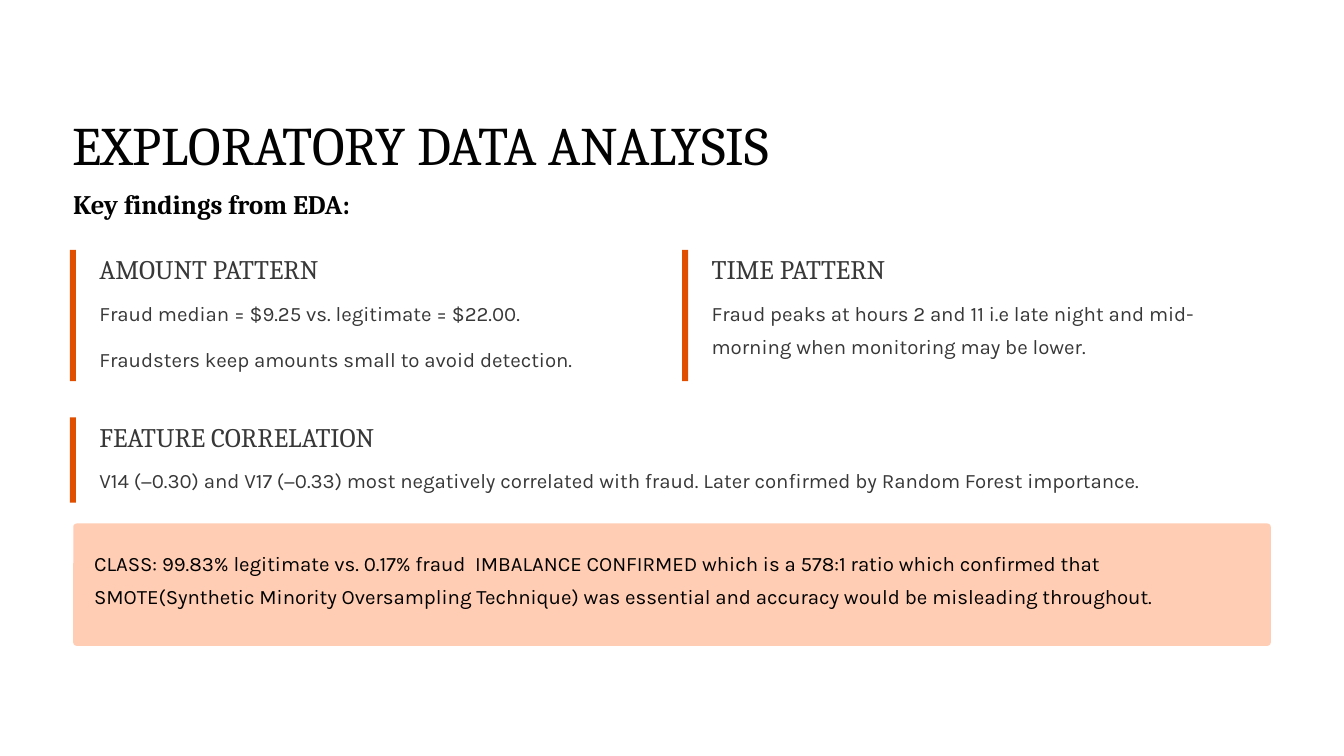
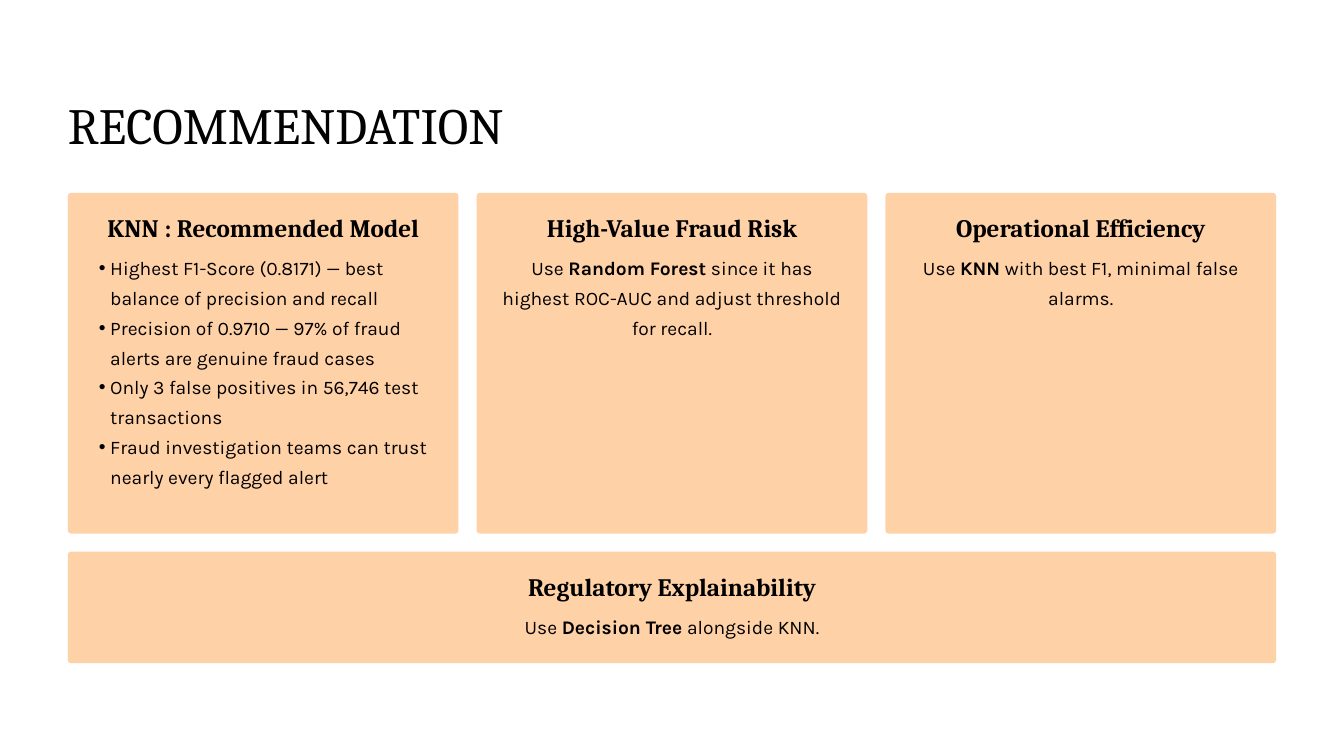
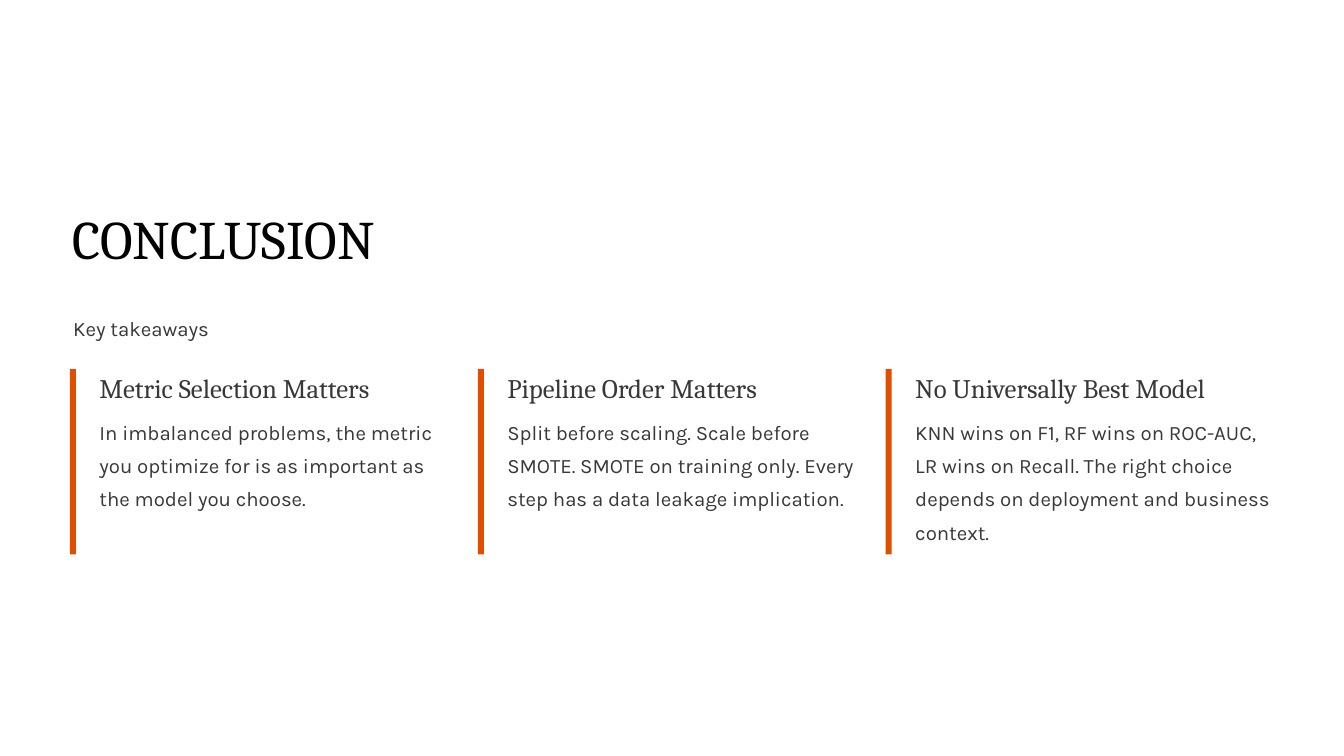
from dataclasses import dataclass
from typing import NamedTuple

import lxml.etree
import pptx
import pptx.dml.color
import pptx.enum.shapes
import pptx.enum.text
import pptx.oxml.ns
import pptx.util
from pptx.util import Inches

ALIGN = pptx.enum.text.PP_ALIGN
SHAPE = pptx.enum.shapes.MSO_SHAPE
TITLE_AND_CONTENT, TITLE_ONLY = 1, 5


@dataclass(frozen=True)
class TextStyle:
    font: str
    size: float
    line: float
    color: str
    bold: bool = False
    align: ALIGN = ALIGN.LEFT
    paragraph_gap: float = 0


@dataclass(frozen=True)
class Theme:
    page: str = "FFFFFF"
    accent: str = "E04F00"
    callout: str = "FFCDB3"
    card: str = "FFD1A7"
    title: TextStyle = TextStyle("Cambria", 58.1, 73.1, "020202")
    small_title: TextStyle = TextStyle("Cambria", 54.4, 68.1, "020202")
    subtitle: TextStyle = TextStyle("Cambria", 28.7, 36.2, "020202", bold=True)
    heading: TextStyle = TextStyle("Cambria", 28.7, 36.2, "383838")
    body: TextStyle = TextStyle("Karla", 21.84, 35.6, "383838", paragraph_gap=13.4)
    callout_body: TextStyle = TextStyle("Karla", 21.84, 35.6, "000000")
    card_heading: TextStyle = TextStyle("Cambria", 26.9, 33.7, "000000", True, ALIGN.CENTER)
    card_body: TextStyle = TextStyle("Karla", 20.6, 31.9, "000000", align=ALIGN.CENTER)
    card_list: TextStyle = TextStyle("Karla", 20.6, 31.9, "000000")


THEME = Theme()


class Box(NamedTuple):
    """Position and size in inches."""
    left: float
    top: float
    width: float
    height: float

    def lengths(self) -> list:
        return [Inches(value) for value in self]


class Finding(NamedTuple):
    """A heading and text beside a vertical accent bar."""
    heading: str
    paragraphs: list[str]
    box: Box


class Card(NamedTuple):
    heading: str
    text: str
    box: Box


def paint(fill, color: str) -> None:
    fill.solid()
    fill.fore_color.rgb = pptx.dml.color.RGBColor.from_string(color)


def write(text_frame, paragraphs: list[str], style: TextStyle) -> None:
    """Fill a frame; words between ** marks are bold."""
    text_frame.word_wrap = True
    text_frame.auto_size = pptx.enum.text.MSO_AUTO_SIZE.NONE
    text_frame.vertical_anchor = pptx.enum.text.MSO_ANCHOR.TOP
    text_frame.margin_left = text_frame.margin_right = 0
    text_frame.margin_top = text_frame.margin_bottom = 0
    for index, text in enumerate(paragraphs):
        paragraph = text_frame.add_paragraph() if index else text_frame.paragraphs[0]
        paragraph.alignment = style.align
        paragraph.line_spacing = pptx.util.Pt(style.line)
        paragraph.space_before = pptx.util.Pt(style.paragraph_gap if index else 0)
        for part, words in enumerate(text.split("**")):
            run = paragraph.add_run()
            run.text = words
            run.font.name = style.font
            run.font.size = pptx.util.Pt(style.size)
            run.font.bold = style.bold or part % 2 == 1
            run.font.color.rgb = pptx.dml.color.RGBColor.from_string(style.color)


def add_text(slide, box: Box, paragraphs: list[str], style: TextStyle) -> None:
    write(slide.shapes.add_textbox(*box.lengths()).text_frame, paragraphs, style)


def fill_placeholder(shape, box: Box, paragraphs: list[str], style: TextStyle) -> None:
    shape.left, shape.top, shape.width, shape.height = box.lengths()
    write(shape.text_frame, paragraphs, style)


def add_bullets(text_frame, margin: float, hanging: float) -> None:
    for paragraph in text_frame.paragraphs:
        properties = paragraph._p.get_or_add_pPr()
        properties.set("marL", str(Inches(margin)))
        properties.set("indent", str(-Inches(hanging)))
        bullet = lxml.etree.SubElement(properties, pptx.oxml.ns.qn("a:buChar"))
        bullet.set("char", "•")


def add_panel(slide, box: Box, color: str, radius: float = 0) -> None:
    kind = SHAPE.ROUNDED_RECTANGLE if radius else SHAPE.RECTANGLE
    shape = slide.shapes.add_shape(kind, *box.lengths())
    if radius:
        shape.adjustments[0] = radius / min(box.width, box.height)
    shape.shadow.inherit = False
    paint(shape.fill, color)
    shape.line.fill.background()


def add_finding(slide, finding: Finding) -> None:
    left, top, width, height = finding.box
    add_panel(slide, Box(left, top, 0.09, height), THEME.accent)
    text_left, text_width = left + 0.44, width - 0.44
    add_text(slide, Box(text_left, top + 0.02, text_width, 0.53), [finding.heading], THEME.heading)
    add_text(slide, Box(text_left, top + 0.63, text_width, height - 0.67),
             finding.paragraphs, THEME.body)


def card_text_box(card: Box) -> Box:
    return Box(card.left + 0.29, card.top + 0.85, card.width - 0.58, card.height - 1.14)


def add_card(slide, card: Card) -> None:
    add_panel(slide, card.box, THEME.card, radius=0.05)
    text_box = card_text_box(card.box)
    add_text(slide, text_box._replace(top=card.box.top + 0.27, height=0.49),
             [card.heading], THEME.card_heading)
    if card.text:
        add_text(slide, text_box, [card.text], THEME.card_body)


def add_slide(presentation, layout: int, title: str, box: Box, style: TextStyle):
    slide = presentation.slides.add_slide(presentation.slide_layouts[layout])
    paint(slide.background.fill, THEME.page)
    fill_placeholder(slide.shapes.title, box, [title], style)
    return slide


def build_analysis(presentation) -> None:
    slide = add_slide(presentation, TITLE_ONLY, "EXPLORATORY DATA ANALYSIS",
                      Box(1.08, 1.61, 11.76, 1.06), THEME.title)
    add_text(slide, Box(1.09, 2.77, 8, 0.53), ["Key findings from EDA:"], THEME.subtitle)
    findings = [
        Finding("AMOUNT PATTERN",
                ["Fraud median = $9.25 vs. legitimate = $22.00.",
                 "Fraudsters keep amounts small to avoid detection."],
                Box(1.04, 3.72, 8.77, 1.95)),
        Finding("TIME PATTERN",
                ["Fraud peaks at hours 2 and 11 i.e late night and mid-morning "
                 "when monitoring may be lower."],
                Box(10.15, 3.72, 8.77, 1.95)),
        Finding("FEATURE CORRELATION",
                ["V14 (−0.30) and V17 (−0.33) most negatively correlated with fraud. "
                 "Later confirmed by Random Forest importance."],
                Box(1.04, 6.21, 17.88, 1.27)),
    ]
    for finding in findings:
        add_finding(slide, finding)
    add_panel(slide, Box(1.09, 7.79, 17.82, 1.82), THEME.callout, radius=0.05)
    add_text(slide, Box(1.4, 8.07, 17.21, 1.1),
             ["CLASS: 99.83% legitimate vs. 0.17% fraud  IMBALANCE CONFIRMED which is a 578:1 "
              "ratio which confirmed that SMOTE(Synthetic Minority Oversampling Technique) was "
              "essential and accuracy would be misleading throughout."], THEME.callout_body)


def build_recommendation(presentation) -> None:
    slide = add_slide(presentation, TITLE_AND_CONTENT, "RECOMMENDATION",
                      Box(1.01, 1.35, 11.76, 0.98), THEME.small_title)
    left, full_width, gap = 1.01, 17.98, 0.27
    width = (full_width - 2 * gap) / 3
    first, second, third = (Box(left + (width + gap) * column, 2.87, width, 5.07)
                            for column in range(3))
    cards = [
        Card("KNN : Recommended Model", "", first),
        Card("High-Value Fraud Risk",
             "Use **Random Forest** since it has highest ROC-AUC and adjust threshold for recall.",
             second),
        Card("Operational Efficiency", "Use **KNN** with best F1, minimal false alarms.", third),
        Card("Regulatory Explainability", "Use **Decision Tree** alongside KNN.",
             Box(left, 8.21, full_width, 1.66)),
    ]
    for card in cards:
        add_card(slide, card)
    reasons = slide.placeholders[1]
    fill_placeholder(reasons, card_text_box(first), [
        "Highest F1-Score (0.8171) — best balance of precision and recall",
        "Precision of 0.9710 — 97% of fraud alerts are genuine fraud cases",
        "Only 3 false positives in 56,746 test transactions",
        "Fraud investigation teams can trust nearly every flagged alert",
    ], THEME.card_list)
    add_bullets(reasons.text_frame, margin=0.34, hanging=0.17)
    slide.shapes.element.append(reasons.element)  # bring the list in front of its card


def build_conclusion(presentation) -> None:
    slide = add_slide(presentation, TITLE_ONLY, "CONCLUSION",
                      Box(1.08, 3.01, 8.14, 1.06), THEME.title)
    add_text(slide, Box(1.09, 4.58, 17.83, 0.6), ["Key takeaways"], THEME.body)
    takeaways = [
        ("Metric Selection Matters",
         "In imbalanced problems, the metric you optimize for is as important as the model "
         "you choose."),
        ("Pipeline Order Matters",
         "Split before scaling. Scale before SMOTE. SMOTE on training only. Every step has a "
         "data leakage implication."),
        ("No Universally Best Model",
         "KNN wins on F1, RF wins on ROC-AUC, LR wins on Recall. The right choice depends on "
         "deployment and business context."),
    ]
    for column, (heading, text) in enumerate(takeaways):
        add_finding(slide, Finding(heading, [text], Box(1.04 + 6.07 * column, 5.49, 5.77, 2.76)))


def main() -> None:
    presentation = pptx.Presentation()
    presentation.slide_width = Inches(20)
    presentation.slide_height = Inches(11.25)
    build_analysis(presentation)
    build_recommendation(presentation)
    build_conclusion(presentation)
    presentation.save("out.pptx")


if __name__ == "__main__":
    main()
